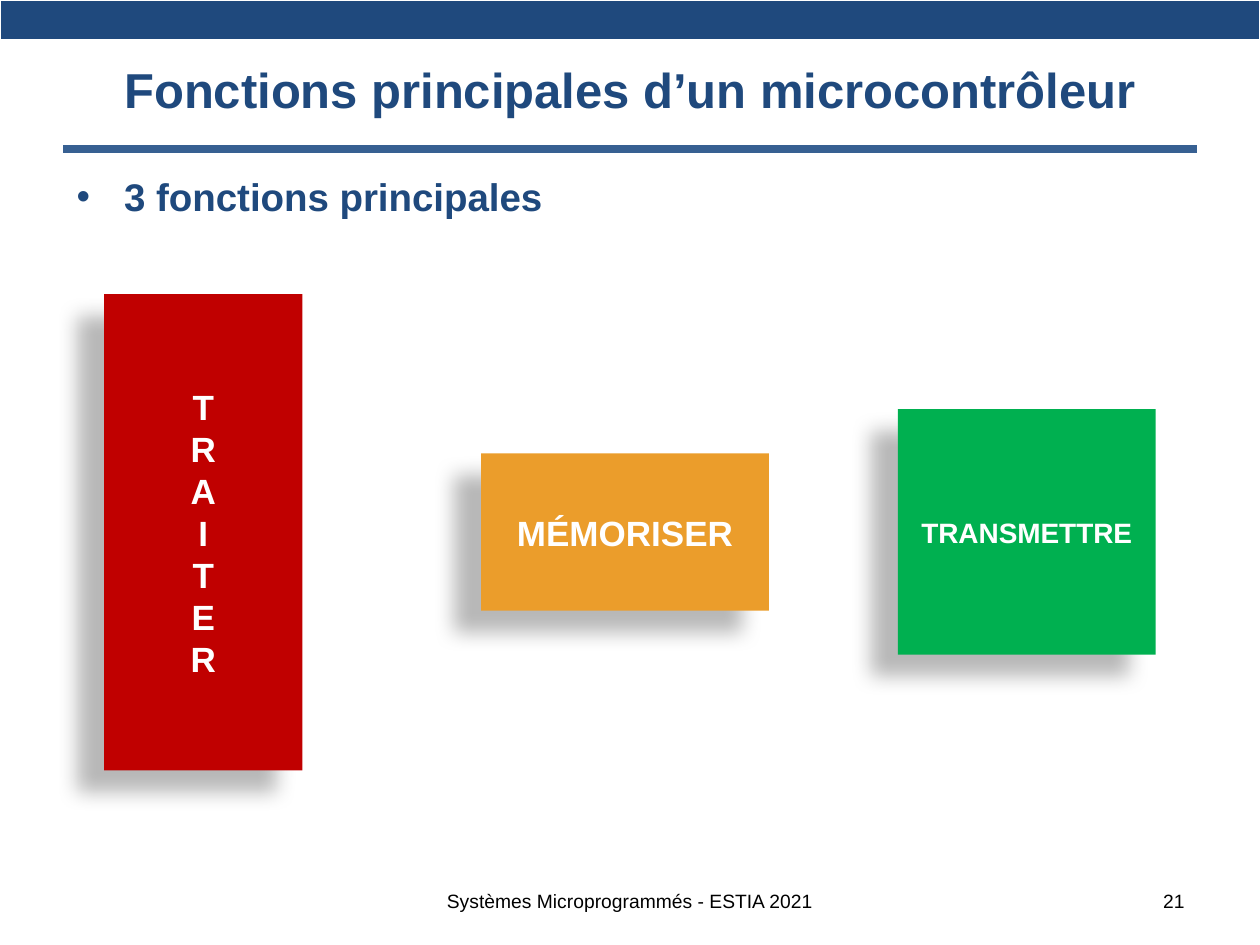
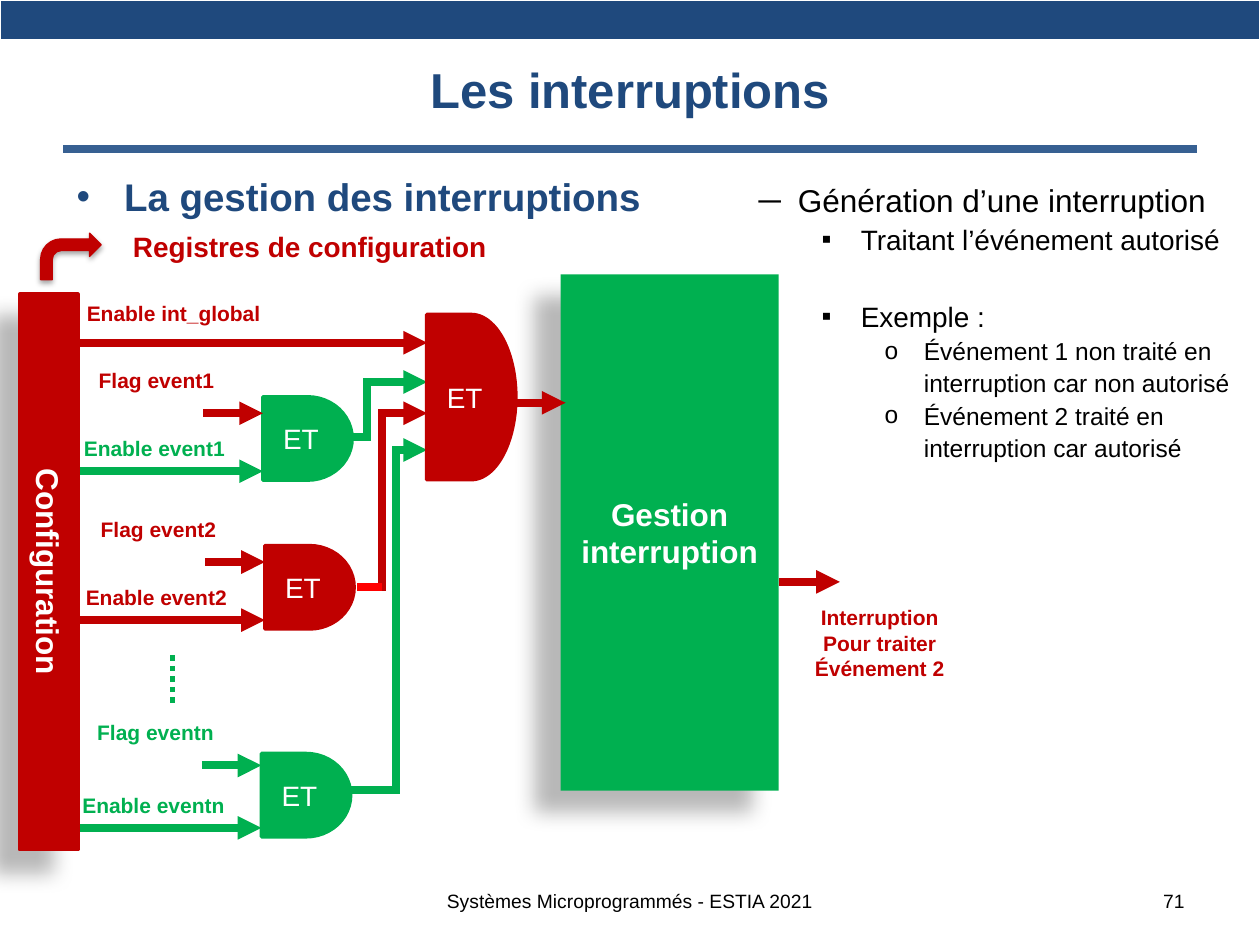
from dataclasses import dataclass
from itertools import pairwise

from lxml import etree
from pptx import Presentation
from pptx.dml.color import RGBColor
from pptx.enum.dml import MSO_LINE
from pptx.enum.shapes import MSO_CONNECTOR, MSO_SHAPE
from pptx.enum.text import MSO_ANCHOR, MSO_AUTO_SIZE, PP_ALIGN
from pptx.oxml.ns import qn
from pptx.util import Cm, Pt

LEFT, CENTER, RIGHT = PP_ALIGN.LEFT, PP_ALIGN.CENTER, PP_ALIGN.RIGHT
TOP, MIDDLE = MSO_ANCHOR.TOP, MSO_ANCHOR.MIDDLE
RECTANGLE, AND_GATE = MSO_SHAPE.RECTANGLE, MSO_SHAPE.FLOWCHART_DELAY
BENT_ARROW = MSO_SHAPE.BENT_ARROW
STRAIGHT, DOTTED = MSO_CONNECTOR.STRAIGHT, MSO_LINE.ROUND_DOT
NO_AUTOFIT = MSO_AUTO_SIZE.NONE


@dataclass(frozen=True)
class Theme:
    """Colours, type sizes and line widths of the deck."""
    font: str = "Arial"
    navy: str = "1F497D"
    rule: str = "376092"
    active: str = "C00000"
    idle: str = "00B050"
    memory: str = "EB9D2B"
    bright: str = "FF0000"
    black: str = "000000"
    white: str = "FFFFFF"
    title: int = 28
    heading: int = 22
    large: int = 20
    medium: int = 18
    small: int = 16
    detail: int = 14
    label: int = 12
    footer: int = 11
    wire: float = 4.5


THEME = Theme()
DEEP_SHADOW = dict(alpha=28, blur=11.8, distance=19.7, angle=141)
SOFT_SHADOW = dict(alpha=35, blur=3.1, distance=1.8, angle=90)
FOOTER = "Systèmes Microprogrammés - ESTIA 2021"


def rgb(colour):
    """Turn a hex string into a colour."""
    return RGBColor.from_string(colour)


def add_bullet(paragraph, mark, colour, margin, hanging):
    """Give a paragraph a bullet with a hanging indent in centimetres."""
    properties = paragraph._p.get_or_add_pPr()
    properties.set("marL", str(Cm(margin)))
    properties.set("indent", str(-Cm(hanging)))
    tint = etree.SubElement(properties, qn("a:buClr"))
    etree.SubElement(tint, qn("a:srgbClr"), val=colour)
    etree.SubElement(properties, qn("a:buFont"), typeface=THEME.font)
    etree.SubElement(properties, qn("a:buChar"), char=mark)


def write(frame, text, size, colour=THEME.black, bold=False, align=LEFT,
          anchor=TOP, wrap=True, level=0, before=0, spacing=1.0, bullet=None):
    """Write each line of text as a paragraph, after any text already there."""
    frame.word_wrap = wrap
    frame.auto_size = NO_AUTOFIT
    frame.vertical_anchor = anchor
    for line in text.split("\n"):
        paragraph = frame.paragraphs[0]
        if paragraph.runs:
            paragraph = frame.add_paragraph()
        paragraph.alignment = align
        paragraph.level = level
        paragraph.line_spacing = spacing
        paragraph.space_before = Pt(before)
        if bullet:
            add_bullet(paragraph, **bullet)
        run = paragraph.add_run()
        run.text = line
        run.font.name = THEME.font
        run.font.size = Pt(size)
        run.font.bold = bold
        run.font.color.rgb = rgb(colour)


def place(shape, left, top, width, height):
    """Move and size a placeholder, in centimetres."""
    shape.left, shape.top = Cm(left), Cm(top)
    shape.width, shape.height = Cm(width), Cm(height)


def add_label(slide, text, box, **style):
    """Add a text box at a box given in centimetres."""
    label = slide.shapes.add_textbox(*map(Cm, box))
    write(label.text_frame, text, **style)


def add_band(slide):
    """Add the one-cell table that runs across the top of a slide."""
    band = slide.shapes.add_table(1, 1, *map(Cm, (0, 0, 25.4, 0.8))).table
    cell = band.cell(0, 0)
    cell.margin_top = cell.margin_bottom = 0
    cell.text_frame.paragraphs[0].font.size = Pt(THEME.footer)
    cell.fill.solid()
    cell.fill.fore_color.rgb = rgb(THEME.navy)


def cast_shadow(shape, alpha, blur, distance, angle):
    """Give a shape a soft black outer shadow."""
    effects = shape._element.spPr.find(qn("a:effectLst"))
    shadow = etree.SubElement(
        effects, qn("a:outerShdw"), blurRad=str(Pt(blur)),
        dist=str(Pt(distance)), dir=str(angle * 60000), rotWithShape="0")
    colour = etree.SubElement(shadow, qn("a:srgbClr"), val=THEME.black)
    etree.SubElement(colour, qn("a:alpha"), val=str(alpha * 1000))


def add_block(slide, kind, box, colour, text="", size=THEME.large, bold=True,
              outline=0, shadow=None, direction=None):
    """Add a filled shape with centred white text."""
    block = slide.shapes.add_shape(kind, *map(Cm, box))
    block.shadow.inherit = False
    block.fill.solid()
    block.fill.fore_color.rgb = rgb(colour)
    if outline:
        block.line.color.rgb = rgb(colour)
        block.line.width = Pt(outline)
    else:
        block.line.fill.background()
    if shadow:
        cast_shadow(block, **shadow)
    if text:
        write(block.text_frame, text, size, THEME.white, bold, CENTER, MIDDLE)
    if direction:
        block._element.txBody.bodyPr.set("vert", direction)


def add_line(slide, start, end, colour, width=THEME.wire, arrow=False,
             dash=None, square=False):
    """Draw one straight line, with an arrowhead at its end if asked."""
    line = slide.shapes.add_connector(STRAIGHT, *map(Cm, (*start, *end)))
    line.line.color.rgb = rgb(colour)
    line.line.width = Pt(width)
    if dash:
        line.line.dash_style = dash
    stroke = line.line._get_or_add_ln()
    if square:
        stroke.set("cap", "sq")
    if arrow:
        etree.SubElement(stroke, qn("a:tailEnd"), type="triangle")
    etree.SubElement(line._element.spPr, qn("a:effectLst"))


def add_wire(slide, colour, *points):
    """Draw a wire through the points, ending in an arrowhead."""
    segments = list(pairwise(points))
    for start, end in segments[:-1]:
        add_line(slide, start, end, colour, square=True)
    add_line(slide, *segments[-1], colour, arrow=True)


def start_slide(deck, layout, title, heading, number, body_height):
    """Add a slide with the shared band, rule, title, heading and footer."""
    slide = deck.slides.add_slide(deck.slide_layouts[layout])
    add_band(slide)
    add_line(slide, (1.27, 3), (24.13, 3), THEME.rule)
    place(slide.shapes.title, 1.27, 0.43, 22.86, 2.74)
    write(slide.shapes.title.text_frame, title, THEME.title, THEME.navy,
          bold=True, align=CENTER, anchor=MIDDLE)
    body = slide.placeholders[1]
    place(body, 1.29, 3.37, 23.01, body_height)
    write(body.text_frame, heading, THEME.heading, THEME.navy, bold=True,
          bullet=dict(mark="•", colour=THEME.navy, margin=0.96, hanging=0.96))
    add_label(slide, FOOTER, (7.19, 17.65, 11.02, 1.02), size=THEME.footer,
              align=CENTER, anchor=MIDDLE)
    add_label(slide, number, (18.21, 17.65, 5.92, 1.02), size=THEME.footer,
              align=RIGHT, anchor=MIDDLE)
    return slide


def build_functions(deck):
    """Show the three main functions of a microcontroller."""
    slide = start_slide(deck, 1, "Fonctions principales d’un microcontrôleur",
                        "3 fonctions principales", "21", 13.94)
    functions = [
        ("TRAITER", (2.1, 5.93, 4, 9.6), THEME.active, THEME.large, "wordArtVert"),
        ("MÉMORISER", (9.7, 9.14, 5.8, 3.17), THEME.memory, THEME.large, None),
        ("TRANSMETTRE", (18.1, 8.25, 5.2, 4.95), THEME.idle, THEME.small, None),
    ]
    for name, box, colour, size, direction in functions:
        add_block(slide, RECTANGLE, box, colour, name, size,
                  shadow=DEEP_SHADOW, direction=direction)


def add_gate(slide, box, colour):
    """Add an AND gate."""
    add_block(slide, AND_GATE, box, colour, "ET", THEME.small, bold=False,
              outline=2)


def add_event(slide, name, left, top, flag_colour, enable_colour, gate_colour,
              flag_lift=0):
    """Add the flag and enable inputs of an event and their gate."""
    add_gate(slide, (left, top, 1.8, 1.68), gate_colour)
    flag_top = top - flag_lift
    inputs = [
        ("Flag", flag_colour, (left - 3.56, flag_top - 0.71),
         (left - 1.2, flag_top + 0.33)),
        ("Enable", enable_colour, (left - 3.86, top + 0.66),
         (1.62, top + 1.5)),
    ]
    for signal, colour, corner, start in inputs:
        add_label(slide, f"{signal} {name}", (*corner, 4.09, 0.76),
                  size=THEME.label, colour=colour, bold=True)
        add_wire(slide, colour, start, (left, start[1]))


def add_explanation(slide):
    """Fill the right-hand list about generating an interrupt."""
    body = slide.placeholders[2]
    place(body, 15.04, 3.45, 10.36, 6.55)
    marks = "─▪o"
    sizes = (THEME.medium, THEME.small, THEME.detail)
    items = [
        (0, 0, "Génération d’une interruption"),
        (1, 0, "Traitant l’événement autorisé"),
        (1, 23, "Exemple :"),
        (2, 0, "Événement 1 non traité en interruption car non autorisé"),
        (2, 0, "Événement 2 traité en interruption car autorisé"),
    ]
    for level, before, text in items:
        write(body.text_frame, text, sizes[level], level=level, before=before,
              spacing=1.1,
              bullet=dict(mark=marks[level], colour=THEME.black,
                          margin=0.79 + 1.27 * level, hanging=0.79))


def build_interrupts(deck):
    """Show how flags and enables combine into an interrupt."""
    slide = start_slide(deck, 3, "Les interruptions",
                        "La gestion des interruptions", "71", 1.75)
    active, idle = THEME.active, THEME.idle
    add_explanation(slide)
    add_block(slide, RECTANGLE, (11.3, 5.53, 4.4, 10.41), idle,
              "Gestion interruption", THEME.medium, shadow=DEEP_SHADOW)
    add_block(slide, RECTANGLE, (0.4, 5.93, 1.17, 11.2), active,
              "Configuration", THEME.medium, outline=2, shadow=DEEP_SHADOW,
              direction="vert")
    add_block(slide, BENT_ARROW, (0.82, 4.7, 1.22, 0.94), active,
              outline=0.75, shadow=SOFT_SHADOW)
    add_label(slide, "Registres de configuration", (2.43, 4.5, 7.75, 0.94),
              size=THEME.small, colour=active, bold=True, wrap=False)

    add_event(slide, "event1", 5.3, 8, active, idle, idle)
    add_event(slide, "event2", 5.34, 11, active, active, active)
    add_event(slide, "eventn", 5.27, 15.19, idle, idle, idle, flag_lift=0.09)
    add_line(slide, (3.48, 13.21), (3.48, 14.2), idle, width=3, dash=DOTTED)

    add_label(slide, "Enable int_global", (1.5, 5.93, 4.6, 0.76),
              size=THEME.label, colour=active, bold=True)
    add_wire(slide, active, (1.6, 6.91), (8.61, 6.91))
    add_wire(slide, idle, (7.11, 8.81), (7.39, 8.81), (7.39, 7.7), (8.61, 7.7))
    add_wire(slide, idle, (7.11, 15.93), (7.98, 15.93), (7.98, 9.07),
             (8.61, 9.07))
    add_wire(slide, active, (7.7, 11.84), (7.7, 8.33), (8.61, 8.33))
    add_line(slide, (7.2, 11.84), (7.7, 11.84), THEME.bright)
    add_gate(slide, (8.6, 6.34, 1.8, 3.33), active)
    add_wire(slide, active, (10.39, 8.12), (11.4, 8.12))

    add_wire(slide, active, (15.7, 11.73), (16.93, 11.73))
    add_label(slide, "Interruption\nPour traiter\nÉvénement 2",
              (15.88, 12.07, 3.71, 1.8), size=THEME.label, colour=active,
              bold=True, align=CENTER)


def main():
    """Build and save the deck."""
    deck = Presentation()
    deck.slide_width, deck.slide_height = Cm(25.4), Cm(19.05)
    build_functions(deck)
    build_interrupts(deck)
    deck.save("out.pptx")


if __name__ == "__main__":
    main()
